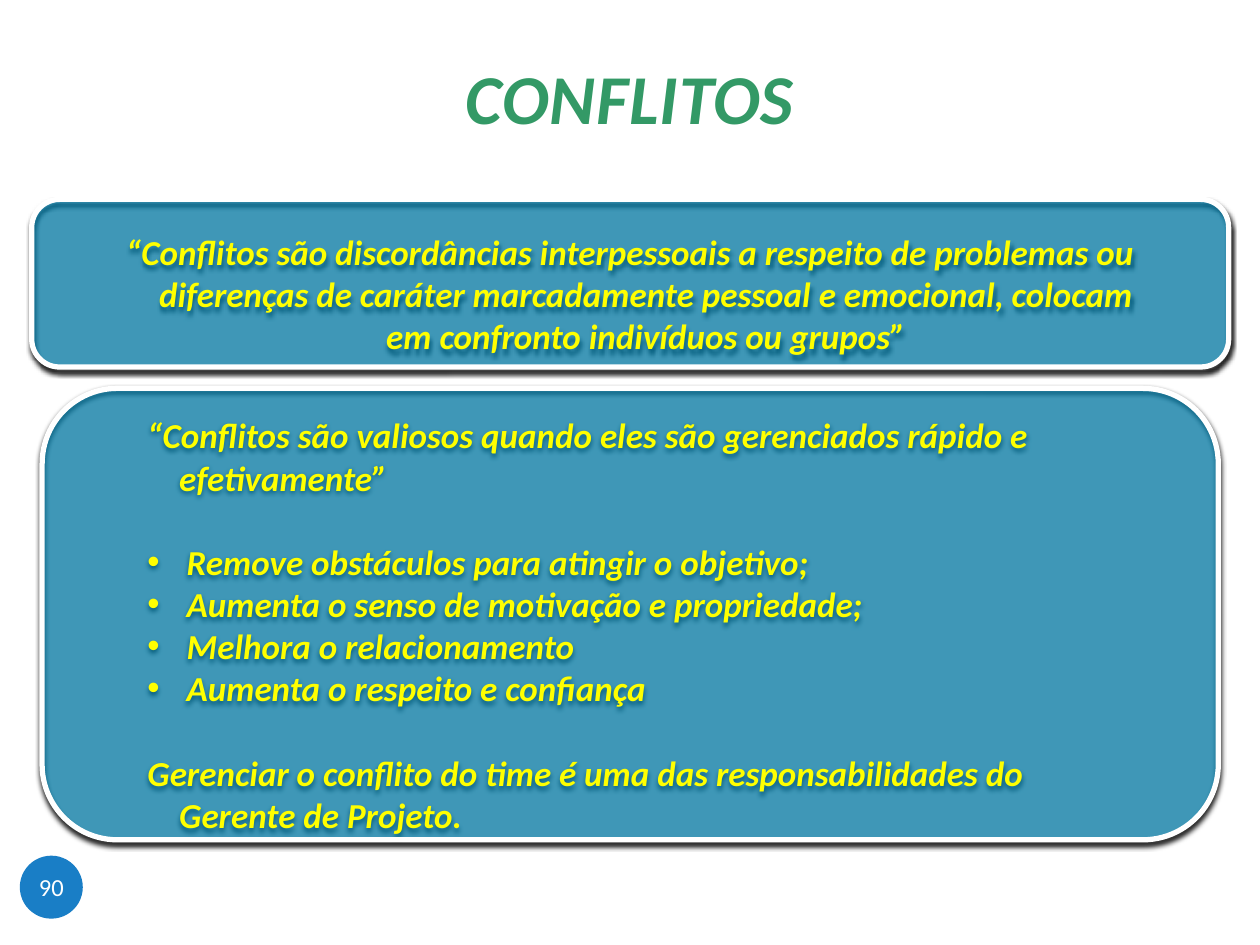
from dataclasses import dataclass

from lxml.etree import SubElement
from pptx import Presentation
from pptx.dml.color import RGBColor
from pptx.enum.shapes import MSO_SHAPE
from pptx.enum.text import MSO_ANCHOR, PP_ALIGN
from pptx.oxml.ns import qn
from pptx.util import Cm, Pt

FONT = "Calibri"


@dataclass(frozen=True)
class Line:
    text: str
    align: PP_ALIGN = PP_ALIGN.LEFT
    bullet: bool = False
    space_before: float = 0


@dataclass(frozen=True)
class Panel:
    left: float
    top: float
    width: float
    height: float
    lines: tuple[Line, ...]


def rgb(value: str) -> RGBColor:
    return RGBColor.from_string(value)


def style(paragraph, size: float, color: str, emphasis: bool = True) -> None:
    font = paragraph.font
    font.name, font.size = FONT, Pt(size)
    font.bold = font.italic = emphasis
    font.color.rgb = rgb(color)


def set_margins(frame, left: float, top: float, right: float, bottom: float) -> None:
    frame.margin_left, frame.margin_top = Cm(left), Cm(top)
    frame.margin_right, frame.margin_bottom = Cm(right), Cm(bottom)
    frame.vertical_anchor = MSO_ANCHOR.MIDDLE


def fill_translucent(shape, color: str, opacity: int) -> None:
    shape.fill.solid()
    shape.fill.fore_color.rgb = rgb(color)
    color_element = shape._element.spPr.find(qn("a:solidFill"))[0]
    SubElement(color_element, qn("a:alpha"), val=str(opacity * 1000))


def add_shadow(shape) -> None:
    shape.shadow.inherit = False
    effects = shape._element.spPr.find(qn("a:effectLst"))
    shadow = SubElement(effects, qn("a:outerShdw"), blurRad=str(Pt(3)),
                        dist=str(Pt(2)), dir="5400000", rotWithShape="0")
    black = SubElement(shadow, qn("a:srgbClr"), val="000000")
    SubElement(black, qn("a:alpha"), val="50000")


def add_line(paragraph, line: Line) -> None:
    indent = Cm(0.79 if line.bullet else 0.64)
    properties = paragraph._p.get_or_add_pPr()
    properties.set("marL", str(indent))
    properties.set("indent", str(-indent))
    if line.bullet:
        SubElement(properties, qn("a:buFont"), typeface="Arial")
        SubElement(properties, qn("a:buChar"), char="•")
    paragraph.text = line.text
    paragraph.alignment = line.align
    if line.space_before:
        paragraph.space_before = Pt(line.space_before)
    style(paragraph, 20, "FFFF00")


def add_panel(slide, panel: Panel) -> None:
    shape = slide.shapes.add_shape(
        MSO_SHAPE.ROUNDED_RECTANGLE, Cm(panel.left), Cm(panel.top),
        Cm(panel.width), Cm(panel.height))
    fill_translucent(shape, "00B0F0", 50)
    shape.line.color.rgb = rgb("FFFFFF")
    shape.line.width = Pt(3)
    add_shadow(shape)
    frame = shape.text_frame
    frame.word_wrap = True
    set_margins(frame, 1.68, 0.91, 1.68, 0.48)
    for index, line in enumerate(panel.lines):
        add_line(frame.add_paragraph() if index else frame.paragraphs[0], line)


def add_title(slide, text: str) -> None:
    title = slide.shapes.title
    title.left, title.top, title.width, title.height = Cm(0), Cm(0.64), Cm(25.4), Cm(2.74)
    set_margins(title.text_frame, 0.25, 0.13, 0.25, 0.25)
    heading = title.text_frame.paragraphs[0]
    heading.text = text
    heading.alignment = PP_ALIGN.CENTER
    style(heading, 40, "339966")
    heading.runs[0]._r.get_or_add_rPr().set("spc", "50")


def add_page_number(slide, number: str) -> None:
    badge = slide.shapes.add_shape(MSO_SHAPE.OVAL, Cm(0.4), Cm(17.25), Cm(1.27), Cm(1.27))
    fill_translucent(badge, "0070C0", 90)
    badge.line.fill.background()
    badge.shadow.inherit = False
    frame = badge.text_frame
    frame.word_wrap = False
    set_margins(frame, 0, 0, 0, 0)
    label = frame.paragraphs[0]
    label.text = number
    label.alignment = PP_ALIGN.CENTER
    style(label, 14, "FFFFFF", emphasis=False)


PANELS = (
    Panel(0.64, 4.02, 24.13, 3.38, (
        Line("“Conflitos são discordâncias interpessoais a respeito de problemas ou "
             "diferenças de caráter marcadamente pessoal e emocional, colocam em "
             "confronto indivíduos ou grupos”", PP_ALIGN.CENTER),
    )),
    Panel(0.85, 7.83, 23.71, 9.1, (
        Line("“Conflitos são valiosos quando eles são gerenciados rápido e efetivamente”"),
        Line("Remove obstáculos para atingir o objetivo;", bullet=True, space_before=24.4),
        Line("Aumenta o senso de motivação e propriedade;", bullet=True),
        Line("Melhora o relacionamento", bullet=True),
        Line("Aumenta o respeito e confiança", bullet=True),
        Line("Gerenciar o conflito do time é uma das responsabilidades do "
             "Gerente de Projeto.", space_before=24.4),
    )),
)


def main() -> None:
    presentation = Presentation()
    presentation.slide_width, presentation.slide_height = Cm(25.4), Cm(19.05)
    slide = presentation.slides.add_slide(presentation.slide_layouts[5])
    add_title(slide, "CONFLITOS")
    add_page_number(slide, "90")
    for panel in PANELS:
        add_panel(slide, panel)
    presentation.save("out.pptx")


if __name__ == "__main__":
    main()
